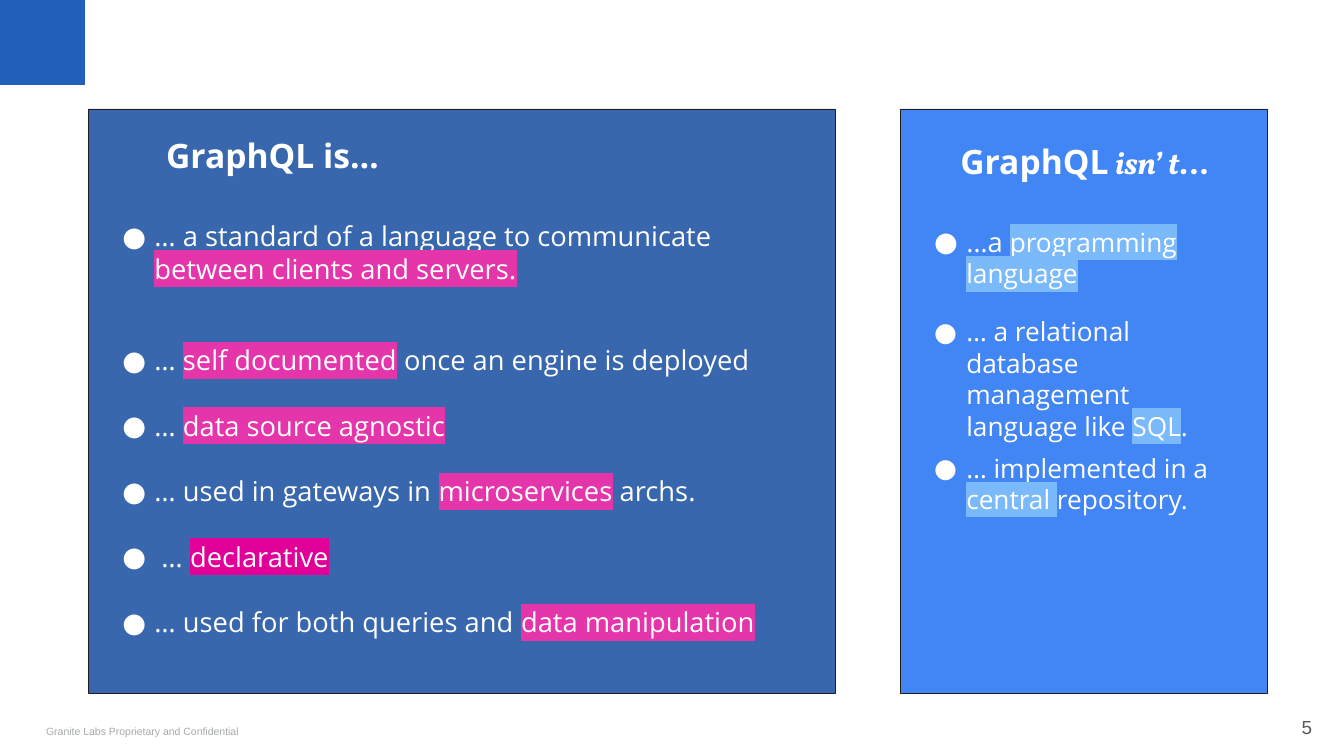
from lxml import etree
from pptx import Presentation
from pptx import util as u
from pptx.dml.color import RGBColor
from pptx.enum import shapes, text
from pptx.oxml.ns import qn

WHITE = "FFFFFF"
PINK = {"highlight": "E535AB"}
MAGENTA = {"highlight": "E10098"}
SKY = {"highlight": "7ABAFA"}
SERIF = {"font": "Vollkorn", "size": 30}

IS_TITLE = [("GraphQL is…", {})]
IS_POINTS = [
    ({}, [("… a standard of a language to communicate ", {}),
          ("between clients and servers.", PINK)]),
    ({"line": 2, "before": 25}, [("… ", {}), ("self documented", PINK),
                                 (" once an engine is deployed", {})]),
    ({"line": 2}, [("… ", {}), ("data source agnostic", PINK)]),
    ({"line": 2}, [("… used in gateways in ", {}), ("microservices", PINK), (" archs.", {})]),
    ({"line": 2}, [(" … ", {}), ("declarative", MAGENTA)]),
    ({"line": 2}, [("… used for both queries and ", {}), ("data manipulation", PINK)]),
]
ISNT_TITLE = [("GraphQL", {}), (" ", SERIF), ("isn’ t", {**SERIF, "italic": True}), ("…", SERIF)]
ISNT_POINTS = [
    ({}, [("…a", {"size": 26}), (" ", {}), ("programming language", SKY)]),
    ({"before": 25}, [("… a relational database management language like ", {}),
                      ("SQL", SKY), (".", {})]),
    ({"before": 10, "after": 10}, [("… implemented in a ", {}), ("central ", SKY),
                                   ("repository.", {})]),
]


def rgb(value):
    """Turn a hex string into a colour."""
    return RGBColor.from_string(value)


def add_box(slide, left, top, width, height, fill, outline=None):
    """Draw a flat rectangle, measured in centimetres."""
    box = slide.shapes.add_shape(shapes.MSO_SHAPE.RECTANGLE, u.Cm(left), u.Cm(top),
                                 u.Cm(width), u.Cm(height))
    box.shadow.inherit = False
    box.fill.solid()
    box.fill.fore_color.rgb = rgb(fill)
    if outline:
        box.line.color.rgb = rgb(outline)
        box.line.width = u.Pt(0.75)
    else:
        box.line.fill.background()


def add_frame(slide, left, top, width, height, inset_x=0.25, inset_y=0.13):
    """Add a wrapping text box and return its text frame."""
    frame = slide.shapes.add_textbox(u.Cm(left), u.Cm(top), u.Cm(width), u.Cm(height)).text_frame
    frame.word_wrap = True
    frame.margin_left = frame.margin_right = u.Cm(inset_x)
    frame.margin_top = frame.margin_bottom = u.Cm(inset_y)
    return frame


def add_run(paragraph, words, size, font="Open Sans", color=WHITE, bold=False,
            italic=False, highlight=None):
    """Append one formatted run, marked with a highlight if one is given."""
    run = paragraph.add_run()
    run.text = words
    run.font.size = u.Pt(size)
    run.font.bold = bold
    run.font.italic = italic
    run.font.color.rgb = rgb(color)
    run.font.name = font
    if highlight:
        mark = etree.Element(qn("a:highlight"))
        etree.SubElement(mark, qn("a:srgbClr"), val=highlight)
        run.font._element.find(qn("a:solidFill")).addnext(mark)


def add_bullet(paragraph):
    """Give a paragraph a white round bullet with a hanging indent."""
    props = paragraph._p.get_or_add_pPr()
    props.set("marL", str(u.Cm(1.27)))
    props.set("indent", str(u.Cm(-1.08)))
    color = etree.SubElement(props, qn("a:buClr"))
    etree.SubElement(color, qn("a:srgbClr"), val=WHITE)
    etree.SubElement(props, qn("a:buFont"), typeface="Open Sans")
    etree.SubElement(props, qn("a:buChar"), char="●")


def add_panel(slide, left, top, width, height, fill, title, title_top, points, size):
    """Build a coloured panel with a heading above a bulleted list."""
    add_box(slide, left, top, width, height, fill, "1F1D1D")
    heading = add_frame(slide, left + 0.46, top + title_top, 11.46, 2.16).paragraphs[0]
    heading.alignment = text.PP_ALIGN.CENTER
    heading.line_spacing = 0.9
    for words, style in title:
        add_run(heading, words, **{"size": 32, "bold": True, **style})

    body = add_frame(slide, left + 0.7, top + title_top + 2.68, width - 1.4, 14.76)
    for index, (spacing, runs) in enumerate(points):
        point = body.add_paragraph() if index else body.paragraphs[0]
        point.line_spacing = float(spacing.get("line", 1))
        point.space_before = u.Pt(spacing.get("before", 0))
        point.space_after = u.Pt(spacing.get("after", 0))
        add_bullet(point)
        for words, style in runs:
            add_run(point, words, **{"size": size, **style})


def add_footer(slide, left, top, width, height):
    """Place the confidentiality notice and the page number along the bottom."""
    notice = add_frame(slide, left + 1.42, top + 0.66, 9.58, 0.66, 0.13).paragraphs[0]
    notice.line_spacing = 1.3
    add_run(notice, "Granite Labs Proprietary and Confidential", 10, "Arial", "A6AAA9")

    number = add_frame(slide, left + width - 3.33, top, 2.72, height, 0.46, 0.46)
    number.vertical_anchor = text.MSO_ANCHOR.MIDDLE
    number.paragraphs[0].alignment = text.PP_ALIGN.RIGHT
    add_run(number.paragraphs[0], "5", 18, "Arial", "595959")


def main():
    """Build the slide and save it."""
    deck = Presentation()
    deck.slide_width, deck.slide_height = u.Cm(45.16), u.Cm(25.4)
    slide = deck.slides.add_slide(deck.slide_layouts[6])
    add_box(slide, 0, 0, 2.85, 2.85, "215FBB")
    add_panel(slide, 2.97, 3.66, 25.1, 19.63, "3967AE", IS_TITLE, 0.89, IS_POINTS, 26)
    add_panel(slide, 30.25, 3.66, 12.34, 19.63, "4285F4", ISNT_TITLE, 1.09, ISNT_POINTS, 25)
    add_footer(slide, 0, 23.44, 45.16, 1.96)
    deck.save("out.pptx")


if __name__ == "__main__":
    main()
